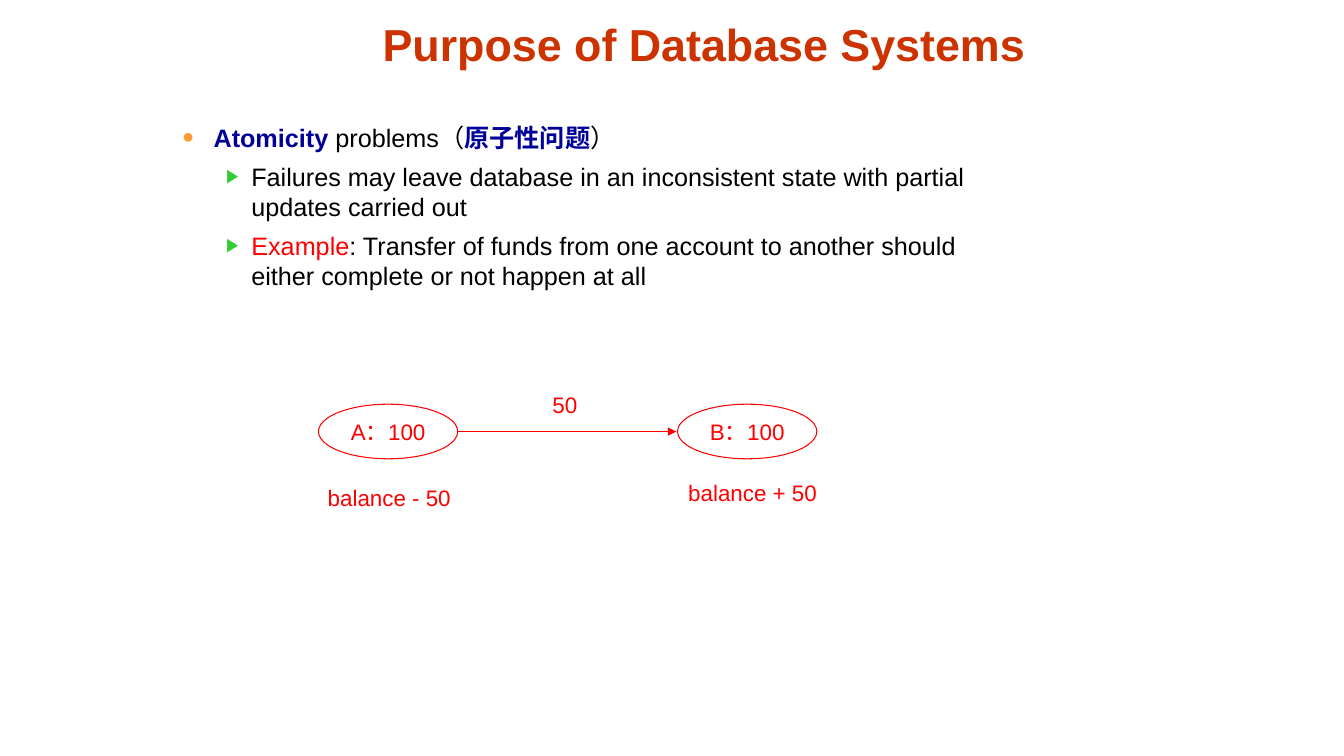
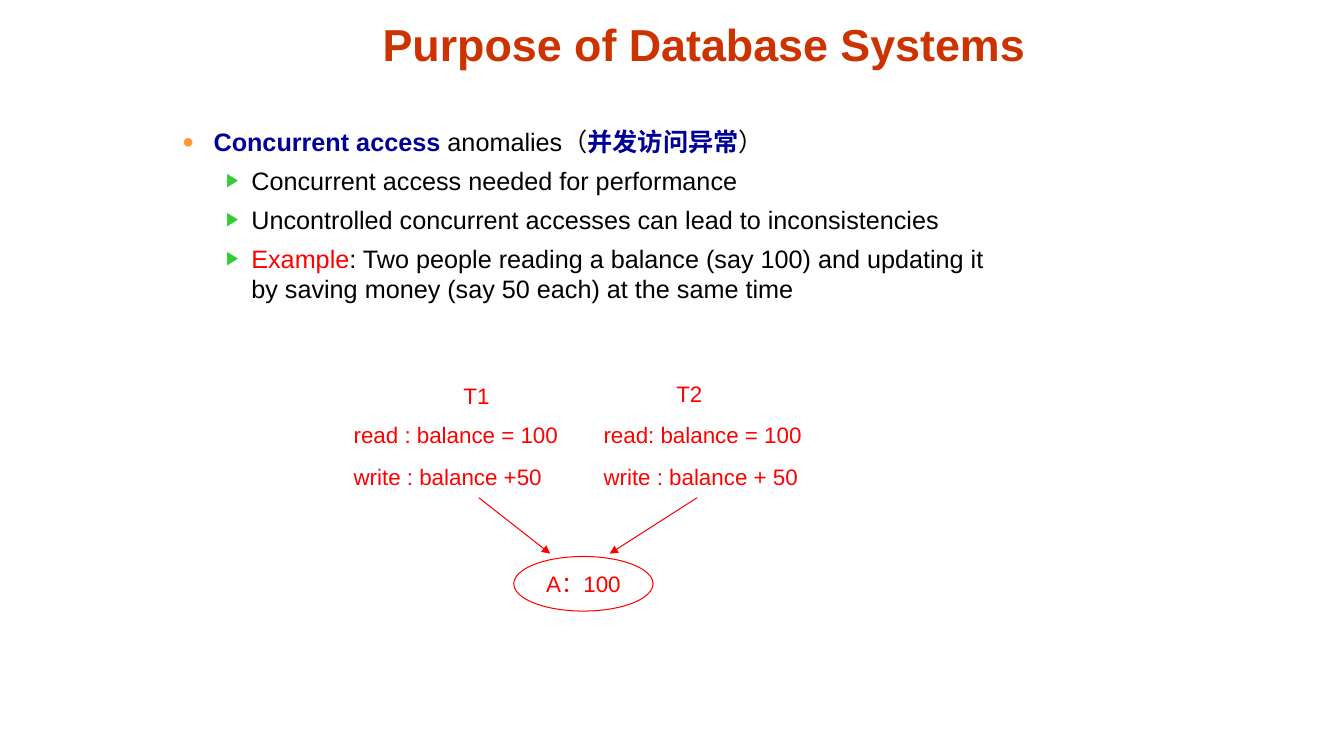
from lxml.etree import SubElement
from pptx import Presentation
from pptx.dml.color import RGBColor
from pptx.enum.shapes import MSO_CONNECTOR, MSO_SHAPE
from pptx.enum.text import MSO_ANCHOR, PP_ALIGN
from pptx.oxml.ns import qn
from pptx.util import Pt

COLORS = {"title": "CC3300", "term": "000099", "text": "000000", "red": "FF0000",
          "white": "FFFFFF", "dot": "FF9933", "arrow": "33CC33"}
FORMATS = {
    "title": {"size": Pt(32), "bold": True},
    "term": {"size": Pt(18), "bold": True},
    "text": {"size": Pt(18), "bold": False},
    "example": {"size": Pt(18), "bold": False},
    "label": {"size": Pt(16), "bold": False},
}
FORMAT_COLORS = {"title": "title", "term": "term", "text": "text",
                 "example": "red", "label": "red"}
# Level: bullet, colour, size in percent, left margin, hanging indent
BULLETS = {1: ("●", "dot", 80, 58.5, -22.5), 2: ("▶", "arrow", 75, 85.5, -18)}
TITLE = "Purpose of Database Systems"
TITLE_BOX = (185, 6, 636, 48)
BODY_LEFT, BODY_WIDTH, BODY_HEIGHT = 87, 636.5, 150
OVAL_WIDTH, OVAL_HEIGHT, LABEL_HEIGHT = 99.5, 39, 28

SLIDES = [
    {
        "body_top": 83.5,
        "body": [
            (1, [("Atomicity", "term"), (" problems（", "text"),
                 ("原子性问题", "term"), ("）", "text")]),
            (2, [("Failures may leave database in an inconsistent state with "
                  "partial updates carried out", "text")]),
            (2, [("Example", "example"),
                 (": Transfer of funds from one account to another should "
                  "either complete or not happen at all", "text")]),
        ],
        "ovals": [("A：100", 227.5, 288.75), ("B：100", 484, 288.75)],
        "labels": [("50", 387.5, 276, 61), ("balance - 50", 227, 342, 118),
                   ("balance + 50", 484.5, 339, 118)],
        "arrows": [(327, 308.25, 483, 308.25)],
    },
    {
        "body_top": 86.5,
        "body": [
            (1, [("Concurrent access ", "term"), ("anomalies（", "text"),
                 ("并发访问异常", "term"), ("）", "text")]),
            (2, [("Concurrent access needed for performance", "text")]),
            (2, [("Uncontrolled concurrent accesses can lead to "
                  "inconsistencies", "text")]),
            (2, [("Example", "example"),
                 (": Two people reading a balance (say 100) and updating it by "
                  "saving money (say 50 each) at the same time", "text")]),
        ],
        "ovals": [("A：100", 367, 397.5)],
        "labels": [("T1", 324, 269.5, 61), ("T2", 476, 268, 61),
                   ("read : balance = 100", 245.5, 297.5, 165),
                   ("read: balance = 100", 424, 297.5, 165),
                   ("write : balance +50", 245.5, 327.5, 165),
                   ("write : balance + 50", 424, 327, 165)],
        "arrows": [(342, 355.5, 393, 395.5), (498, 355.5, 435.5, 395.5)],
    },
]


def add_span(para, text, style):
    span = para.add_run()
    span.text = text
    span.font.name = "Arial"
    span.font.color.rgb = RGBColor.from_string(COLORS[FORMAT_COLORS[style]])
    for name, value in FORMATS[style].items():
        setattr(span.font, name, value)


def set_bullet(para, level):
    """Give the paragraph the bullet and hanging indent of its level."""
    char, color, percent, margin, indent = BULLETS[level]
    properties = para._p.get_or_add_pPr()
    for name, value in {"marL": Pt(margin), "indent": Pt(indent), "lvl": level - 1}.items():
        properties.set(name, str(int(value)))
    bullet_color = SubElement(properties, qn("a:buClr"))
    SubElement(bullet_color, qn("a:srgbClr"), val=COLORS[color])
    SubElement(properties, qn("a:buSzPct"), val=str(percent * 1000))
    SubElement(properties, qn("a:buFont"), typeface="Arial")
    SubElement(properties, qn("a:buChar"), char=char)


deck = Presentation()
deck.slide_width, deck.slide_height = Pt(960), Pt(540)
title_only = deck.slide_layouts[5]

for content in SLIDES:
    page = deck.slides.add_slide(title_only)

    title = page.shapes.title
    title.left, title.top, title.width, title.height = map(Pt, TITLE_BOX)
    title.text_frame.vertical_anchor = MSO_ANCHOR.BOTTOM
    para = title.text_frame.paragraphs[0]
    para.alignment = PP_ALIGN.CENTER
    add_span(para, TITLE, "title")

    body = page.shapes.add_textbox(Pt(BODY_LEFT), Pt(content["body_top"]),
                                   Pt(BODY_WIDTH), Pt(BODY_HEIGHT))
    body.text_frame.word_wrap = True
    for index, (level, spans) in enumerate(content["body"]):
        para = body.text_frame.add_paragraph() if index else body.text_frame.paragraphs[0]
        para.space_before = Pt(6.3 if index else 0)
        set_bullet(para, level)
        for text, style in spans:
            add_span(para, text, style)

    for text, left, top in content["ovals"]:
        oval = page.shapes.add_shape(MSO_SHAPE.OVAL, Pt(left), Pt(top),
                                     Pt(OVAL_WIDTH), Pt(OVAL_HEIGHT))
        oval.shadow.inherit = False
        oval.fill.solid()
        oval.fill.fore_color.rgb = RGBColor.from_string(COLORS["white"])
        oval.line.color.rgb = RGBColor.from_string(COLORS["red"])
        oval.line.width = Pt(0.75)
        oval.text_frame.word_wrap = False
        oval.text_frame.vertical_anchor = MSO_ANCHOR.MIDDLE
        para = oval.text_frame.paragraphs[0]
        para.alignment = PP_ALIGN.CENTER
        add_span(para, text, "label")

    for text, left, top, width in content["labels"]:
        label = page.shapes.add_textbox(Pt(left), Pt(top), Pt(width), Pt(LABEL_HEIGHT))
        label.fill.solid()
        label.fill.fore_color.rgb = RGBColor.from_string(COLORS["white"])
        label.text_frame.word_wrap = True
        add_span(label.text_frame.paragraphs[0], text, "label")

    for ends in content["arrows"]:
        arrow = page.shapes.add_connector(MSO_CONNECTOR.STRAIGHT, *map(Pt, ends))
        arrow.line.color.rgb = RGBColor.from_string(COLORS["red"])
        arrow.line.width = Pt(0.75)
        SubElement(arrow.line._get_or_add_ln(), qn("a:tailEnd"), type="triangle")
        SubElement(arrow._element.spPr, qn("a:effectLst"))

deck.save("out.pptx")
